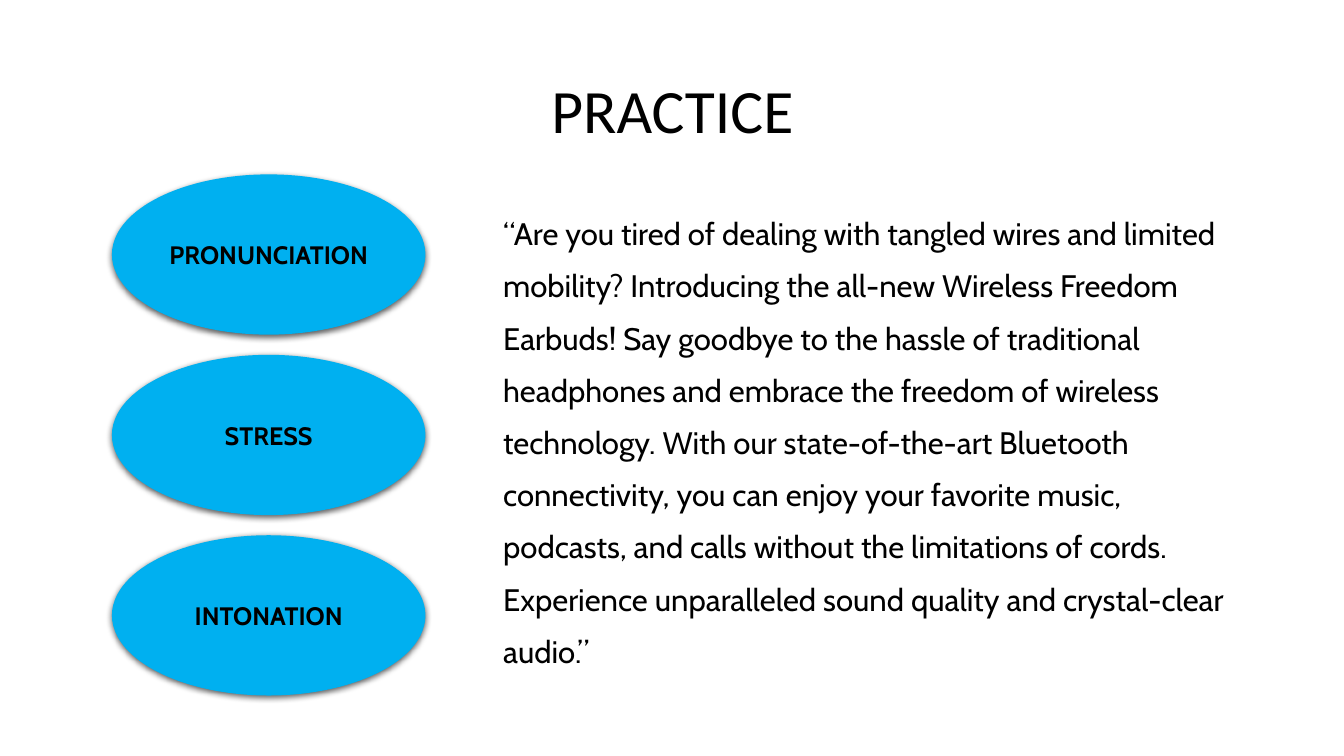
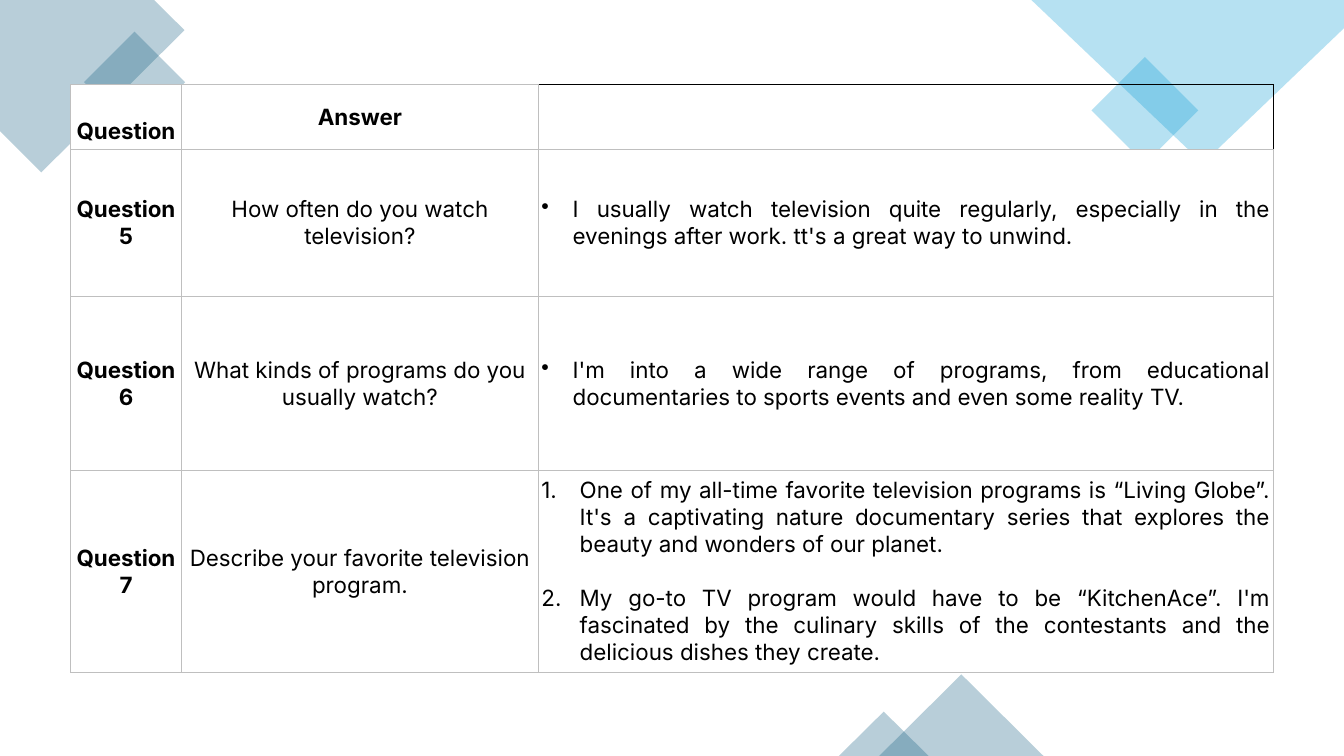
from pptx import Presentation
from pptx.util import Inches, Pt
from pptx.dml.color import RGBColor
from pptx.enum.shapes import MSO_SHAPE as Kind
from pptx.enum.text import MSO_ANCHOR as Anchor, MSO_AUTO_SIZE as Fit, PP_ALIGN as Align
from pptx.oxml import parse_xml
from pptx.oxml.ns import nsdecls, qn

BLACK, WHITE, GREY = "000000", "FFFFFF", "BFBFBF"
BLUE, TEAL, SKY = "00B0F0", "156082", "0F9ED5"
NS = nsdecls("a")
LABEL = {"name": "Cabin", "size": Pt(18), "bold": True}
PROSE = {"name": "Cabin", "size": Pt(22.2), "bold": False}
HEAD = {"name": "Calibri", "size": Pt(44), "bold": False}
PLAIN = {"name": "Inter", "size": Pt(16), "bold": False}
STRONG = {**PLAIN, "bold": True}
PAD = {"margin_left": Inches(0.03), "margin_right": Inches(0.03),
       "margin_top": Inches(0.01), "margin_bottom": Inches(0.01),
       "vertical_anchor": Anchor.MIDDLE}


def put(item, values):
    for name, value in values.items():
        setattr(item, name, value)


def paint(fill, color):
    fill.solid()
    fill.fore_color.rgb = RGBColor.from_string(color)


def write(para, text, font, form):
    para.text = text
    put(para, form)
    put(para.font, font)
    paint(para.font.fill, BLACK)


def mark(para, indent, tag):
    props = para._p.get_or_add_pPr()
    props.set("marL", str(Inches(indent)))
    props.set("indent", str(-Inches(indent)))
    props.append(parse_xml(tag.replace("/>", f" {NS}/>")))


def clean(shape, color, alpha=100):
    shape.shadow.inherit = False
    shape.line.fill.background()
    paint(shape.fill, color)
    if alpha < 100:
        tone = shape._element.spPr.find(qn("a:solidFill"))[0]
        tone.append(parse_xml(f'<a:alpha {NS} val="{alpha * 1000}"/>'))


def shade(shape):
    shape._element.spPr.find(qn("a:effectLst")).append(parse_xml(
        f'<a:outerShdw {NS} blurRad="{Pt(4.5)}" dist="{Pt(1.5)}" dir="5400000" '
        'algn="ctr" rotWithShape="0"><a:srgbClr val="000000">'
        '<a:alpha val="63000"/></a:srgbClr></a:outerShdw>'))


def place(holder, box):
    put(holder, dict(zip(("left", "top", "width", "height"), map(Inches, box))))
    put(holder.text_frame, {"auto_size": Fit.NONE, "word_wrap": True})


def title(slide, box, text):
    place(slide.shapes.title, box)
    frame = slide.shapes.title.text_frame
    frame.vertical_anchor = Anchor.MIDDLE
    write(frame.paragraphs[0], text, HEAD,
          {"alignment": Align.CENTER, "line_spacing": 0.9})


def prose(slide, box, text):
    body = slide.placeholders[1]
    place(body, box)
    para = body.text_frame.paragraphs[0]
    mark(para, 0, "<a:buNone/>")
    write(para, text, PROSE, {"line_spacing": 1.4, "space_before": Pt(0)})


def topics(slide, box, names, gap=0.2):
    left, top, width, height = box
    tall = (height - gap * (len(names) - 1)) / len(names)
    for row, name in enumerate(names):
        oval = slide.shapes.add_shape(
            Kind.OVAL, Inches(left), Inches(top + row * (tall + gap)),
            Inches(width), Inches(tall))
        clean(oval, BLUE)
        shade(oval)
        oval.text_frame.vertical_anchor = Anchor.MIDDLE
        write(oval.text_frame.paragraphs[0], name, LABEL,
              {"alignment": Align.CENTER})


def shard(slide, kind, box, color, turn=0):
    shape = slide.shapes.add_shape(kind, *map(Inches, box))
    shape.rotation = turn
    clean(shape, color, 30)


def patch(slide, left, top, points, color):
    spots = [(Inches(left + x), Inches(top + y)) for x, y in points]
    form = slide.shapes.build_freeform(*spots[0])
    form.add_line_segments(spots[1:], close=True)
    clean(form.convert_to_shape(), color, 30)


def west(slide, left, top):
    patch(slide, left, top,
          [(1.53, 0), (0, 0), (0, 1.3), (0.41, 1.71), (1.83, 0.3)], TEAL)
    shard(slide, Kind.RECTANGLE, (left + 0.98, top + 0.46, 0.71, 0.71), TEAL, 315)


def east(slide, left, top):
    shard(slide, Kind.RECTANGLE, (left + 0.75, top + 0.72, 0.75, 0.75), SKY, 315)
    patch(slide, left, top, [(3.1, 0), (0, 0), (1.7, 1.62), (3.1, 0.28)], SKY)


def foot(slide, left, base):
    for shift, width, height in ((0.4, 1.63, 0.81), (0, 0.89, 0.44)):
        shard(slide, Kind.ISOSCELES_TRIANGLE,
              (left + shift, base - height, width, height), TEAL)


def edge(cell, side, color, width):
    cell._tc.get_or_add_tcPr().append(parse_xml(
        f'<a:ln{side} {NS} w="{Pt(width)}"><a:solidFill>'
        f'<a:srgbClr val="{color}"/></a:solidFill></a:ln{side}>'))


def fill_cell(cell, text, font):
    put(cell, PAD)
    write(cell.text_frame.paragraphs[0], text, font, {"alignment": Align.CENTER})


def answer(cell, items):
    put(cell, PAD)
    listed = len(items) > 1
    indent = 0.38 if listed else 0.31
    tag = '<a:buAutoNum type="arabicPeriod"/>' if listed else '<a:buChar char="•"/>'
    frame = cell.text_frame
    for row, text in enumerate(items):
        para = frame.add_paragraph() if row else frame.paragraphs[0]
        put(para, {"space_before": Pt(19.4 if row else 0)})
        mark(para, indent, tag)
        write(para, text, PLAIN, {"alignment": Align.JUSTIFY})


def grid(slide, box, cols, rows, items):
    table = slide.shapes.add_table(len(rows), len(cols), *map(Inches, box)).table
    put(table, {"first_row": False, "horz_banding": False})
    for col, width in zip(table.columns, cols):
        col.width = Inches(width)
    for row, height in zip(table.rows, rows):
        row.height = Inches(height)
    blank = table.cell(0, len(cols) - 1)
    for cell in table.iter_cells():
        bare = cell._tc is blank._tc
        for side in "LRTB":
            dark = bare and side in "RT"
            edge(cell, side, BLACK if dark else GREY, 1 if dark else 0.5)
        if bare:
            cell.fill.background()
        else:
            paint(cell.fill, WHITE)
    fill_cell(table.cell(0, 0), "Question", STRONG)
    put(table.cell(0, 0), {"vertical_anchor": Anchor.BOTTOM,
                           "margin_bottom": Inches(0.04)})
    fill_cell(table.cell(0, 1), "Answer", STRONG)
    for row, (name, ask, reply) in enumerate(items, 1):
        fill_cell(table.cell(row, 0), name, STRONG)
        fill_cell(table.cell(row, 1), ask, PLAIN)
        answer(table.cell(row, 2), reply)


def practice(deck):
    slide = deck.slides.add_slide(deck.slide_layouts[1])
    title(slide, (0.92, 0.4, 11.5, 1.45), "PRACTICE")
    prose(slide, (4.89, 1.93, 7.41, 4.76),
          "“Are you tired of dealing with tangled wires and limited mobility? "
          "Introducing the all-new Wireless Freedom Earbuds! Say goodbye to the "
          "hassle of traditional headphones and embrace the freedom of wireless "
          "technology. With our state-of-the-art Bluetooth connectivity, you can "
          "enjoy your favorite music, podcasts, and calls without the limitations "
          "of cords. Experience unparalleled sound quality and crystal-clear audio.”")
    topics(slide, (1.11, 1.73, 3.11, 5.17), ("PRONUNCIATION", "STRESS", "INTONATION"))


def survey(deck):
    slide = deck.slides.add_slide(deck.slide_layouts[6])
    west(slide, 0, 0)
    east(slide, 10.23, 0)
    foot(slide, 8.32, 7.5)
    grid(slide, (0.7, 0.84, 11.93, 5.83), (1.1, 3.54, 7.29), (0.64, 1.46, 1.73, 2), (
        ("Question 5", "How often do you watch television?",
         ["I usually watch television quite regularly, especially in the evenings "
          "after work. tt's a great way to unwind."]),
        ("Question 6", "What kinds of programs do you usually watch?",
         ["I'm into a wide range of programs, from educational documentaries to "
          "sports events and even some reality TV."]),
        ("Question 7", "Describe your favorite television program.",
         ["One of my all-time favorite television programs is “Living Globe”. It's "
          "a captivating nature documentary series that explores the beauty and "
          "wonders of our planet.",
          "My go-to TV program would have to be “KitchenAce”. I'm fascinated by "
          "the culinary skills of the contestants and the delicious dishes they "
          "create."])))


def main():
    deck = Presentation()
    put(deck, {"slide_width": Inches(13.33), "slide_height": Inches(7.5)})
    practice(deck)
    survey(deck)
    deck.save("out.pptx")


if __name__ == "__main__":
    main()
